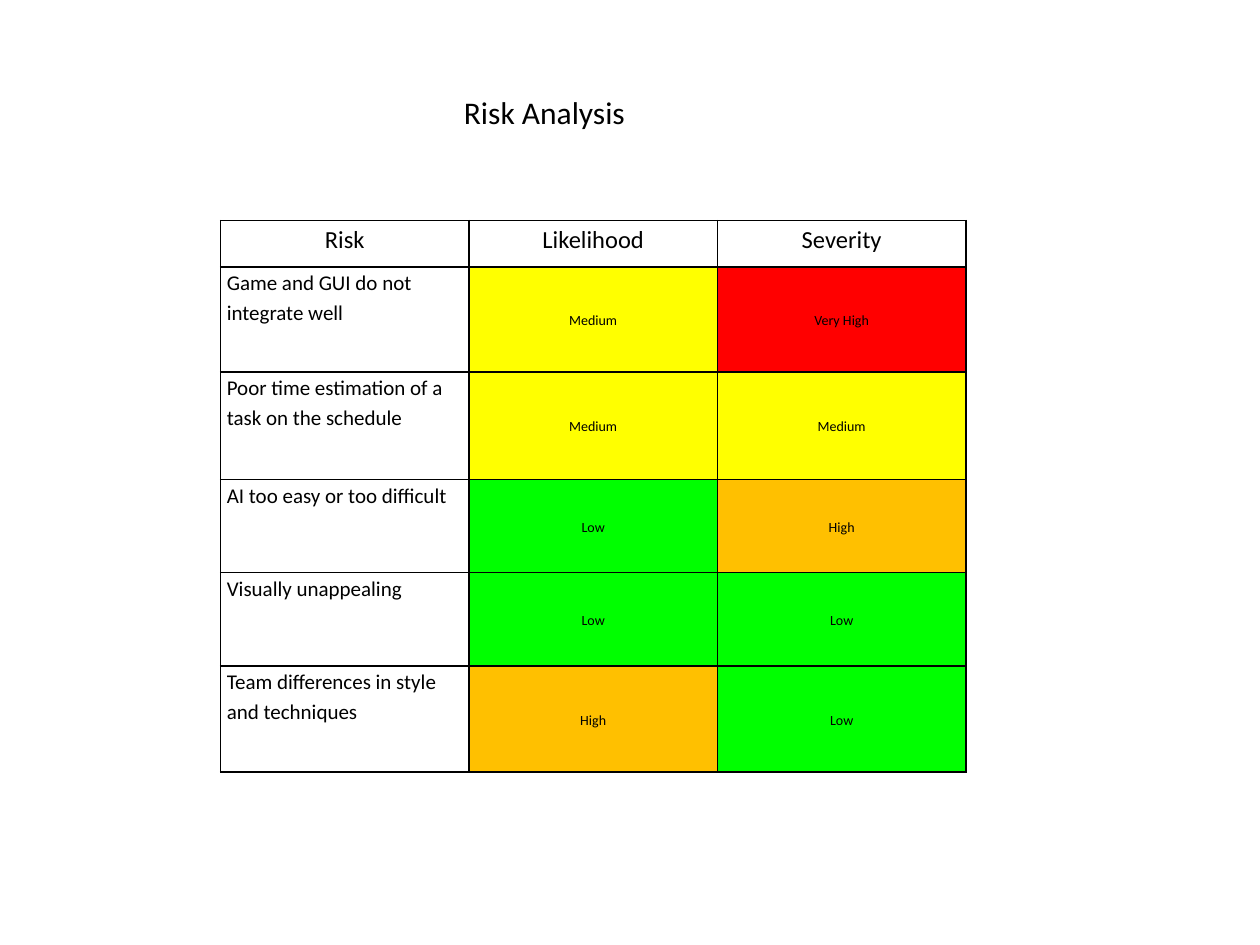
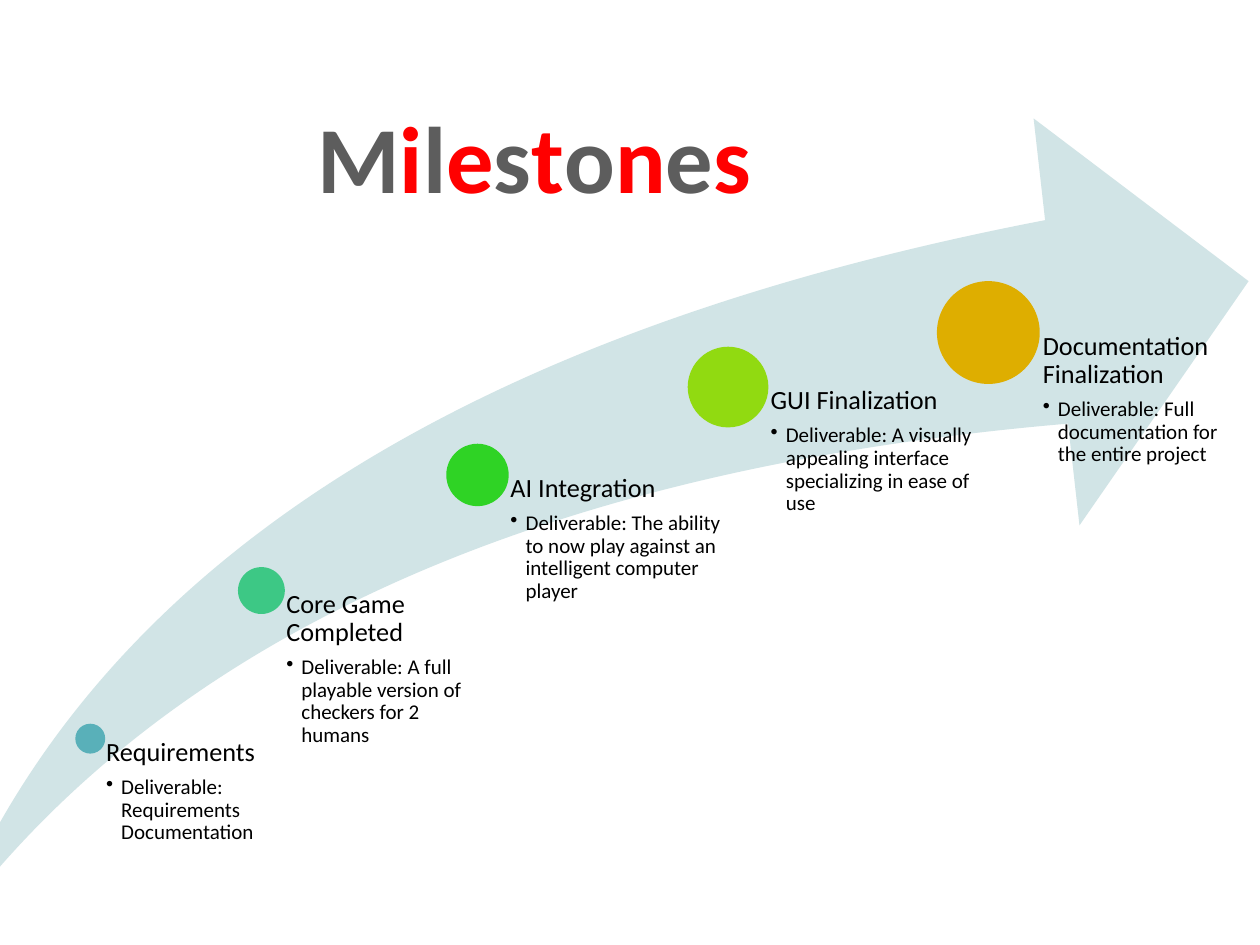
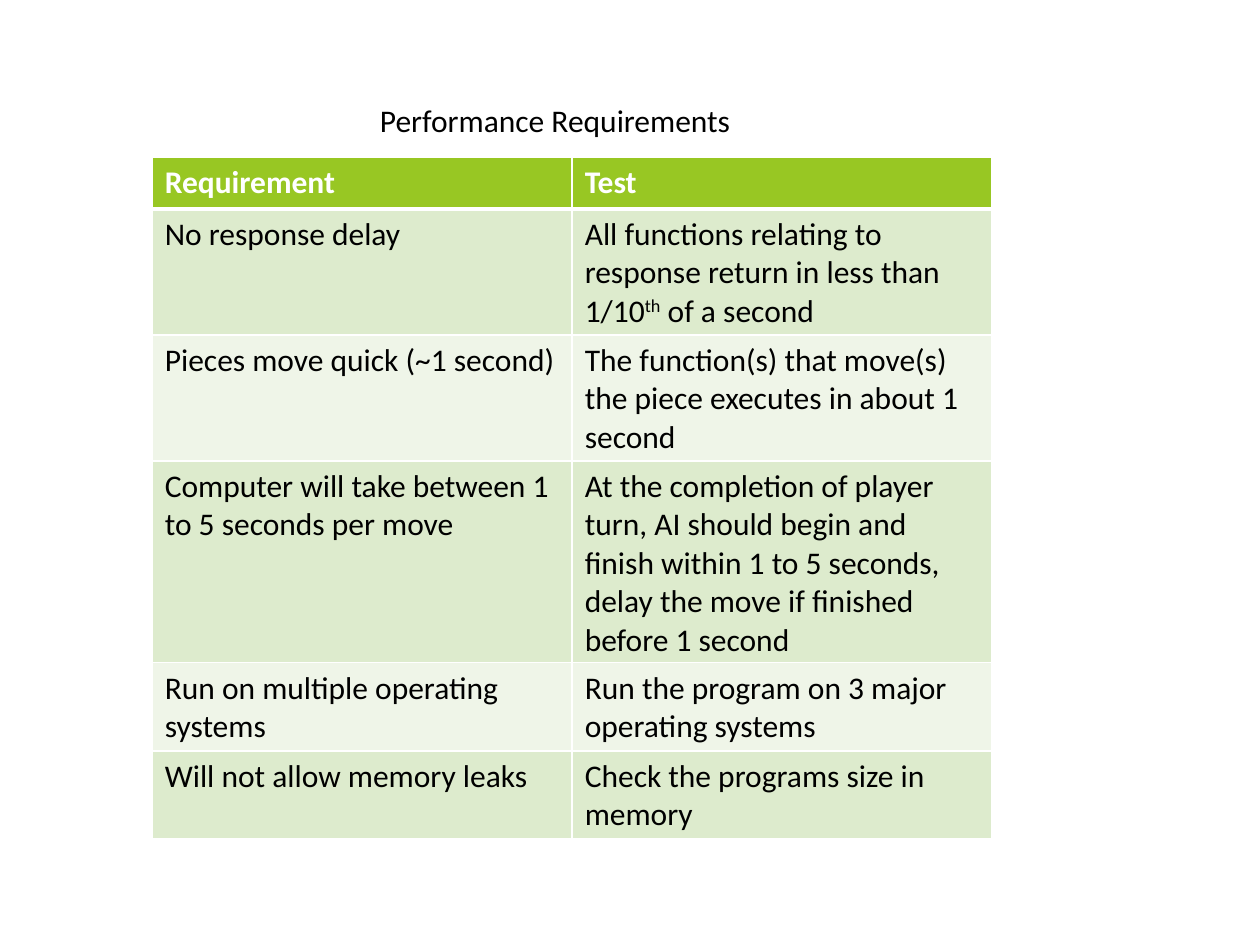
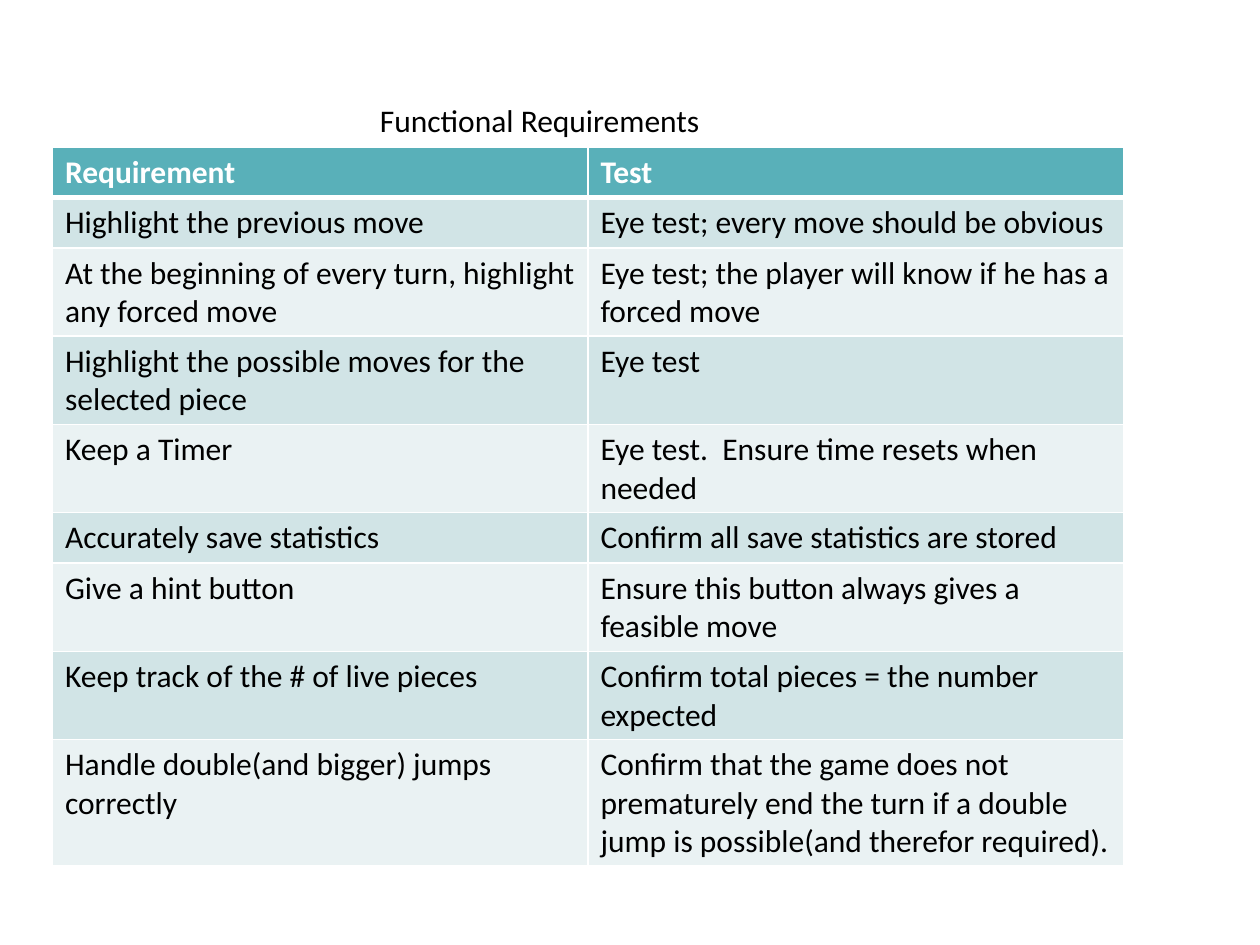
from lxml import etree
from pptx import Presentation
from pptx.dml.color import RGBColor
from pptx.enum.shapes import MSO_SHAPE
from pptx.enum.text import MSO_ANCHOR, PP_ALIGN
from pptx.oxml.ns import qn
from pptx.util import Inches, Pt

SWOOSH, OVAL = MSO_SHAPE.SWOOSH_ARROW, MSO_SHAPE.OVAL
CENTER, LEFT = PP_ALIGN.CENTER, PP_ALIGN.LEFT
TOP, MIDDLE = MSO_ANCHOR.TOP, MSO_ANCHOR.MIDDLE

FONT = "Calibri"
BLACK = RGBColor(0x00, 0x00, 0x00)
WHITE = RGBColor(0xFF, 0xFF, 0xFF)
RED = RGBColor(0xFF, 0x00, 0x00)
GREY = RGBColor(0x5D, 0x5D, 0x5D)
YELLOW = RGBColor(0xFF, 0xFF, 0x00)
GREEN = RGBColor(0x00, 0xFF, 0x00)
ORANGE = RGBColor(0xFF, 0xC0, 0x00)
TEAL = RGBColor(0x59, 0xB0, 0xB9)
PALE_TEAL = RGBColor(0xD1, 0xE4, 0xE6)
FAINT_TEAL = RGBColor(0xEA, 0xF2, 0xF3)
LIME = RGBColor(0x98, 0xC7, 0x23)
PALE_LIME = RGBColor(0xDD, 0xEB, 0xCD)
FAINT_LIME = RGBColor(0xEF, 0xF5, 0xE8)
SEA_GREEN = RGBColor(0x3D, 0xC8, 0x85)
LEAF_GREEN = RGBColor(0x2F, 0xD3, 0x25)
YELLOW_GREEN = RGBColor(0x91, 0xDA, 0x11)
GOLD = RGBColor(0xDE, 0xAE, 0x00)


def style_runs(paragraph, size, color=BLACK, bold=False):
    for run in paragraph.runs:
        run.font.name = FONT
        run.font.size = Pt(size)
        run.font.bold = bold
        run.font.color.rgb = color


def paint_cell(cell, fill, border, bottom_width=1):
    properties = cell._tc.get_or_add_tcPr()
    for side, width in (("L", 1), ("R", 1), ("T", 1), ("B", bottom_width)):
        line = etree.SubElement(properties, qn(f"a:ln{side}"), w=str(Pt(width)))
        solid = etree.SubElement(line, qn("a:solidFill"))
        etree.SubElement(solid, qn("a:srgbClr"), val=str(border))
    if fill is None:
        cell.fill.background()
    else:
        cell.fill.solid()
        cell.fill.fore_color.rgb = fill


presentation = Presentation()
presentation.slide_width = Inches(10)
presentation.slide_height = Inches(7.5)
# Square grid: 24 columns by 18 rows
UNIT = presentation.slide_width / 24

blank_layout = presentation.slide_layouts[6]
slides = [presentation.slides.add_slide(blank_layout) for _ in range(4)]
risk_slide, milestone_slide, performance_slide, functional_slide = slides

# Titles of the table slides
titles = [
    (risk_slide, "Risk Analysis", 8.6, 1.66, 7.6),
    (performance_slide, "Performance Requirements", 7, 1.8, 7.8),
    (functional_slide, "Functional Requirements", 7, 1.8, 7.8),
]
for slide, text, left, top, width in titles:
    title = slide.shapes.add_textbox(
        int(left * UNIT), int(top * UNIT), int(width * UNIT), Inches(0.4))
    title.text_frame.word_wrap = True
    title.text_frame.text = text
    style_runs(title.text_frame.paragraphs[0], 18)

# Risk table
level_colors = {"Low": GREEN, "Medium": YELLOW, "High": ORANGE, "Very High": RED}
risk_rows = [
    (0.89, "Risk", "Likelihood", "Severity"),
    (2, "Game and GUI do not integrate well", "Medium", "Very High"),
    (2.04, "Poor time estimation of a task on the schedule", "Medium", "Medium"),
    (1.78, "AI too easy or too difficult", "Low", "High"),
    (1.78, "Visually unappealing", "Low", "Low"),
    (2.02, "Team differences in style and techniques", "High", "Low"),
]
risk_table = risk_slide.shapes.add_table(
    len(risk_rows), 3, int(4.2 * UNIT), int(4.2 * UNIT), int(14.2 * UNIT),
    int(sum(row[0] for row in risk_rows) * UNIT)).table
risk_table.first_row = risk_table.horz_banding = False
for row_index, (height, *texts) in enumerate(risk_rows):
    risk_table.rows[row_index].height = int(height * UNIT)
    for column_index, text in enumerate(texts):
        cell = risk_table.cell(row_index, column_index)
        is_level = text in level_colors
        cell.margin_left = cell.margin_right = Inches(0.05)
        cell.margin_top = cell.margin_bottom = 0
        cell.vertical_anchor = MIDDLE if is_level else TOP
        cell.text_frame.text = text
        paragraph = cell.text_frame.paragraphs[0]
        paragraph.alignment = CENTER if is_level or row_index == 0 else LEFT
        paragraph.line_spacing = 1.15
        style_runs(paragraph, 14 if row_index == 0 else 8 if is_level else 12)
        paint_cell(cell, level_colors.get(text), BLACK)

# Milestone arrow
arrow_left, arrow_top = Inches(-0.42), Inches(0.94)
arrow_width, arrow_height = Inches(10.33), Inches(6.46)
milestone_group = milestone_slide.shapes.add_group_shape()
arrow = milestone_group.shapes.add_shape(
    SWOOSH, arrow_left, arrow_top, arrow_width, arrow_height)
arrow.adjustments[0] = arrow.adjustments[1] = 0.25
arrow.shadow.inherit = False
arrow.fill.solid()
arrow.fill.fore_color.rgb = PALE_TEAL
arrow.line.fill.background()

# Milestones: dot centre, dot size and text width in percent of the arrow
milestones = [
    (11, 76.2, 2.3, 13.1, TEAL, "Requirements",
     "Deliverable: Requirements Documentation"),
    (24.15, 58, 3.6, 16.65, SEA_GREEN, "Core Game Completed",
     "Deliverable: A full playable version of checkers for 2 humans"),
    (40.75, 43.8, 4.8, 19.3, LEAF_GREEN, "AI Integration",
     "Deliverable: The ability to now play against an intelligent computer player"),
    (60, 33, 6.2, 20, YELLOW_GREEN, "GUI Finalization",
     "Deliverable: A visually appealing interface specializing in ease of use"),
    (80, 26.3, 7.9, 20, GOLD, "Documentation Finalization",
     "Deliverable: Full documentation for the entire project"),
]
for across, down, size, text_width, color, name, deliverable in milestones:
    center_x = arrow_left + int(arrow_width * across / 100)
    center_y = arrow_top + int(arrow_height * down / 100)
    diameter = int(arrow_width * size / 100)
    dot = milestone_group.shapes.add_shape(
        OVAL, center_x - diameter // 2, center_y - diameter // 2, diameter, diameter)
    dot.shadow.inherit = False
    dot.fill.solid()
    dot.fill.fore_color.rgb = color
    dot.line.fill.background()

    label = milestone_group.shapes.add_textbox(
        center_x, center_y, int(arrow_width * text_width / 100),
        arrow_top + arrow_height - center_y)
    text_frame = label.text_frame
    text_frame.word_wrap = True
    text_frame.margin_left = int(diameter * 0.53)
    text_frame.margin_top = text_frame.margin_right = text_frame.margin_bottom = 0
    text_frame.text = name
    heading = text_frame.paragraphs[0]
    heading.space_after = Pt(5.25)
    style_runs(heading, 15)
    bullet = text_frame.add_paragraph()
    bullet.text = deliverable
    bullet.level = 1
    bullet.space_after = Pt(1.8)
    style_runs(bullet, 12)
    heading.line_spacing = bullet.line_spacing = 0.9
    properties = bullet._p.get_or_add_pPr()
    properties.set("marL", str(Inches(0.12)))
    properties.set("indent", str(-Inches(0.12)))
    etree.SubElement(properties, qn("a:buChar"), char="•")

# Milestone title in alternating colours
title = milestone_slide.shapes.add_textbox(
    int(3 * UNIT), Inches(0.74), Inches(5.98), Inches(1.01))
title.text_frame.word_wrap = True
paragraph = title.text_frame.paragraphs[0]
paragraph.alignment = CENTER
for letter in "Milestones":
    paragraph.add_run().text = letter
style_runs(paragraph, 54, GREY, bold=True)
for run in paragraph.runs[1::2]:
    run.font.color.rgb = RED

# Requirement tables; text between ^ marks is raised
performance_rows = [
    (0.98, "Requirement", "Test"),
    (0.98, "No response delay",
     "All functions relating to response return in less than 1/10^th^ of a second"),
    (0.98, "Pieces move quick (~1 second)",
     "The function(s) that move(s) the piece executes in about 1 second"),
    (0.98, "Computer will take between 1 to 5 seconds per move",
     "At the completion of player turn, AI should begin and finish within "
     "1 to 5 seconds, delay the move if finished before 1 second"),
    (0.98, "Run on multiple operating systems",
     "Run the program on 3 major operating systems"),
    (0.98, "Will not allow memory leaks", "Check the programs size in memory"),
]
functional_rows = [
    (0.94, "Requirement", "Test"),
    (0.94, "Highlight the previous move", "Eye test; every move should be obvious"),
    (1.63, "At the beginning of every turn, highlight any forced move",
     "Eye test; the player will know if he has a forced move"),
    (1.63, "Highlight the possible moves for the selected piece", "Eye test"),
    (0.94, "Keep a Timer", "Eye test.  Ensure time resets when needed"),
    (0.94, "Accurately save statistics", "Confirm all save statistics are stored"),
    (0.94, "Give a hint button", "Ensure this button always gives a feasible move"),
    (1.1, "Keep track of the # of live pieces",
     "Confirm total pieces = the number expected"),
    (0.94, "Handle double(and bigger) jumps correctly",
     "Confirm that the game does not prematurely end the turn if a double jump "
     "is possible(and therefor required)."),
]
requirement_tables = [
    (performance_slide, performance_rows, 2.9, 3, 16, LIME, (FAINT_LIME, PALE_LIME)),
    (functional_slide, functional_rows, 1, 2.8, 20.4, TEAL, (FAINT_TEAL, PALE_TEAL)),
]
for slide, rows, left, top, width, header_color, band_colors in requirement_tables:
    table = slide.shapes.add_table(
        len(rows), 2, int(left * UNIT), int(top * UNIT), int(width * UNIT),
        int(sum(row[0] for row in rows) * UNIT)).table
    for row_index, (height, *texts) in enumerate(rows):
        table.rows[row_index].height = int(height * UNIT)
        is_header = row_index == 0
        for column_index, text in enumerate(texts):
            cell = table.cell(row_index, column_index)
            paragraph = cell.text_frame.paragraphs[0]
            for part_index, part in enumerate(text.split("^")):
                run = paragraph.add_run()
                run.text = part
                if part_index % 2:
                    run._r.get_or_add_rPr().set("baseline", "30000")
            style_runs(paragraph, 18, WHITE if is_header else BLACK, is_header)
            paint_cell(cell, header_color if is_header else band_colors[row_index % 2],
                       WHITE, 3 if is_header else 1)

presentation.save("out.pptx")
